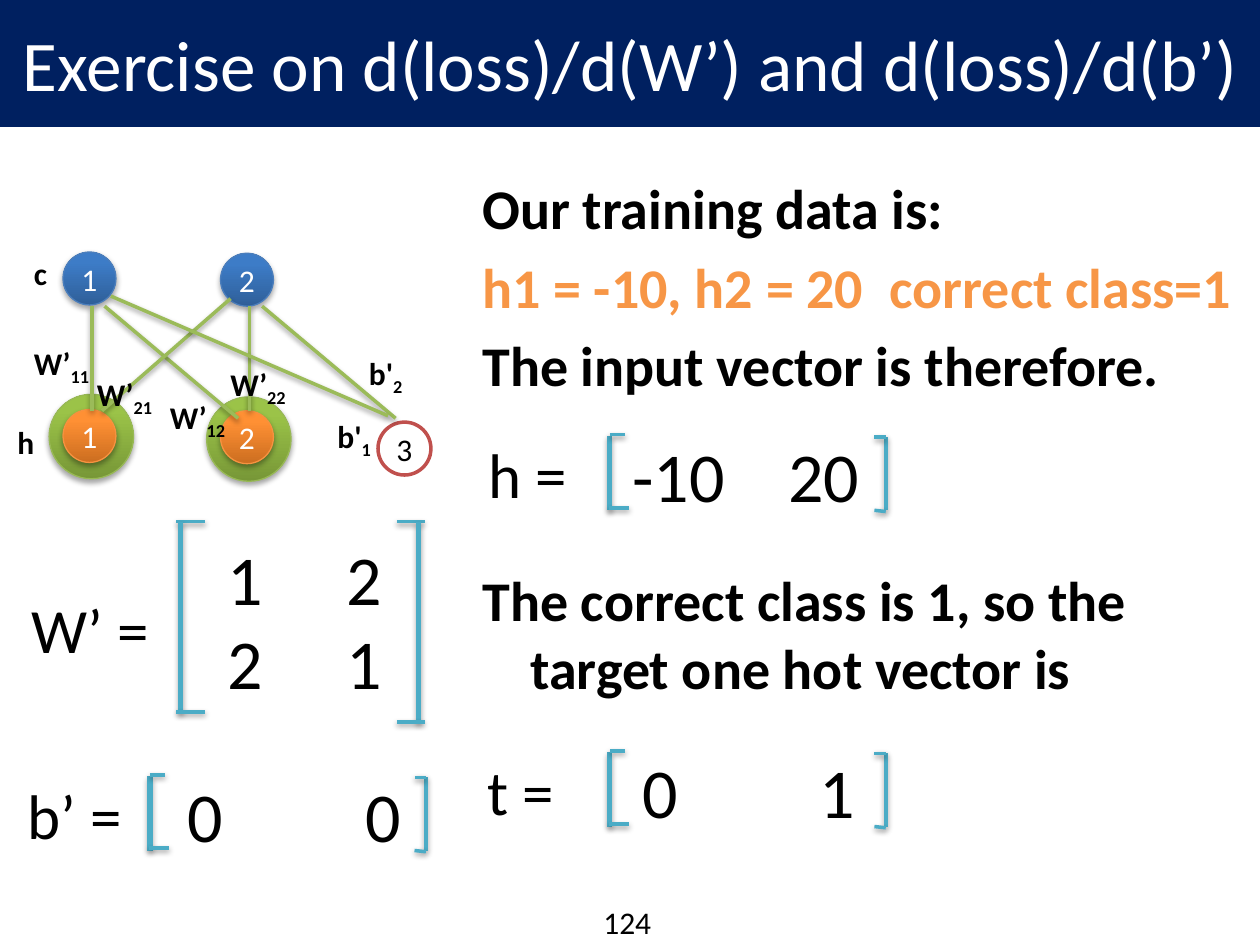
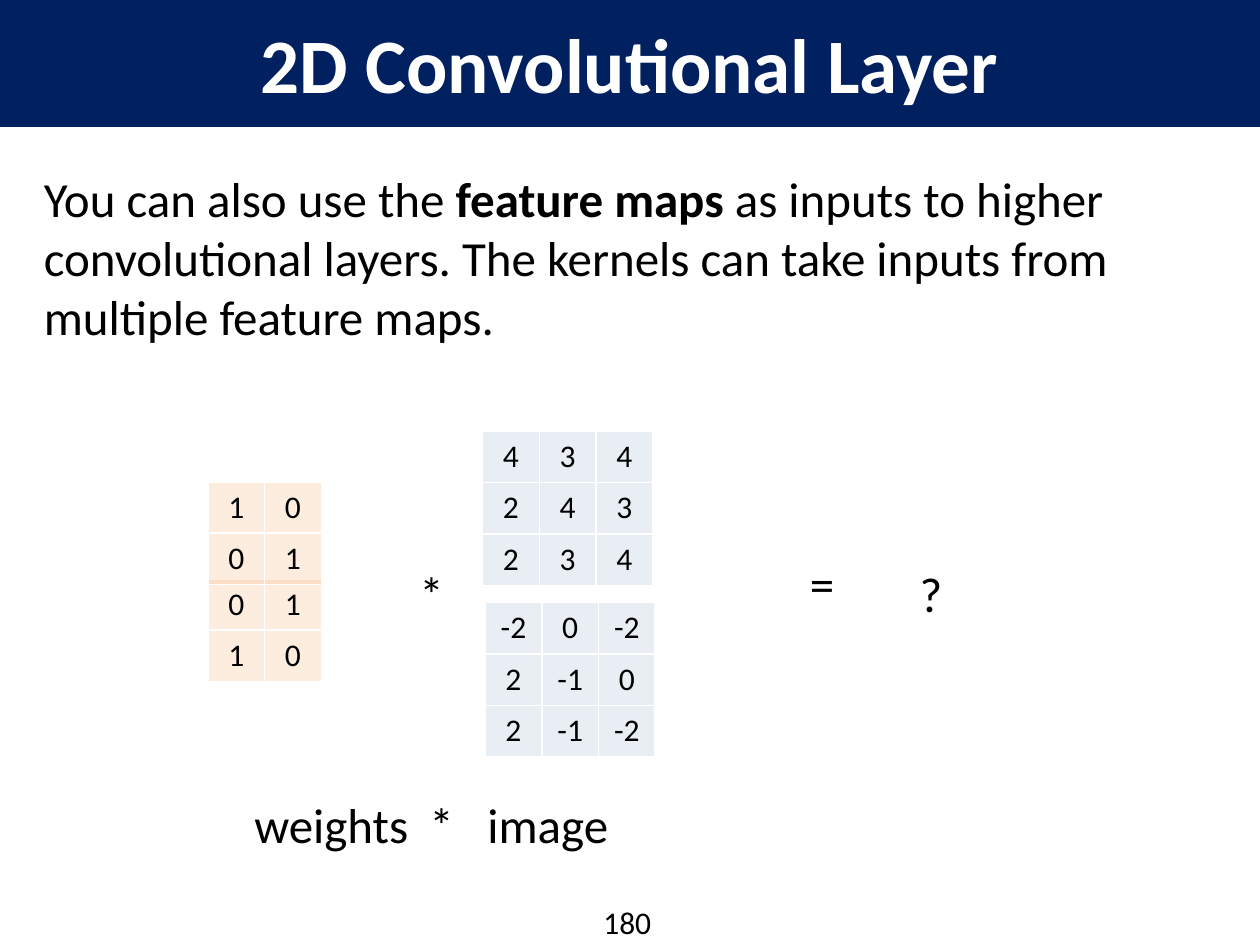
from dataclasses import dataclass
from itertools import product
from typing import Any, NamedTuple

from lxml import etree
from pptx import Presentation, oxml, util as u
from pptx.dml.color import RGBColor
from pptx.enum import shapes, text
from pptx.oxml import ns


@dataclass(frozen=True)
class Theme:
    font: str = "Calibri"
    navy: str = "002060"
    white: str = "FFFFFF"
    black: str = "000000"
    orange: str = "F79646"
    green: str = "9BBB59"
    teal: str = "4BACC6"
    red: str = "C0504D"
    pale: str = "E9EDF4"
    small: float = 18
    text: float = 28
    lead: float = 32
    name: float = 36
    value: float = 40
    long: float = 40.7
    title: float = 44


THEME = Theme()


class Tint(NamedTuple):
    dark: str
    light: str
    edge: str


BLUE = Tint("2F5F99", "3D7CC7", "4B7EBC")
AMBER = Tint("CC6E20", "FF9034", "F69240")
LIME = Tint("779737", "9BC348", "98B955")


class Node(NamedTuple):
    x: float
    y: float
    size: float
    label: str = ""
    tint: Tint | None = None


class Stroke(NamedTuple):
    x1: float
    y1: float
    x2: float
    y2: float
    width: float = 2


class Label(NamedTuple):
    x: float
    y: float
    name: str
    index: str = ""


class Vector(NamedTuple):
    """A named row of two values between brackets; x and y are the bracket's top left."""
    x: float
    y: float
    name: str
    name_x: float
    values: str
    value_x: float
    tab: float


class Grid(NamedTuple):
    x: float
    y: float
    rows: list[list[int]]
    heights: list[float]
    color: str
    alpha: int = 100


NODES = [
    Node(1.64, 3.15, 0.67, tint=LIME), Node(0.39, 3.13, 0.67, tint=LIME),
    Node(0.5, 2, 0.42, "1", BLUE), Node(1.75, 2.01, 0.42, "2", BLUE),
    Node(0.5, 3.25, 0.42, "1", AMBER), Node(1.75, 3.26, 0.42, "2", AMBER),
    Node(3, 3.35, 0.42, "3"),
]
EDGES = [
    Stroke(0.73, 2.43, 0.73, 3.26), Stroke(1.98, 2.43, 1.98, 3.26),
    Stroke(2.08, 2.43, 3.14, 3.32), Stroke(0.83, 2.43, 1.89, 3.32),
    Stroke(1.83, 2.37, 0.81, 3.26), Stroke(0.88, 2.35, 3.08, 3.3),
]
LABELS = [
    Label(0.17, 2.68, "W’", "11"), Label(0.67, 2.93, "W’", "21"),
    Label(1.25, 3.11, "W’", "12"), Label(1.73, 2.85, "W’", "22"),
    Label(2.58, 3.26, "b'", "1"), Label(2.83, 2.76, "b'", "2"),
    Label(0.04, 3.31, "h"), Label(0.17, 1.97, "c"),
]
MATRIX = [
    Stroke(1.4, 4.14, 1.63, 4.14), Stroke(1.43, 4.14, 1.43, 5.65, 3),
    Stroke(1.4, 5.65, 1.63, 5.65), Stroke(3.15, 4.14, 3.37, 4.14),
    Stroke(3.32, 4.14, 3.32, 5.73, 3), Stroke(3.15, 5.73, 3.37, 5.73),
]
VECTORS = [
    Vector(4.84, 3.45, "h =", 3.78, "-10\t20", 4.92, 1.24),
    Vector(1.19, 6.15, "b’ =", 0.12, "0\t0", 1.39, 1.41),
    Vector(4.84, 5.96, "t =", 3.77, "0\t1", 5, 1.41),
]
KERNEL = dict(heights=[0.36, 0.41], color=THEME.orange, alpha=17)
MAP = dict(heights=[0.41] * 3, color=THEME.pale)
GRIDS = [
    Grid(1.65, 4.6, [[0, 1], [1, 0]], **KERNEL),
    Grid(3.85, 4.78, [[-2, 0, -2], [2, -1, 0], [2, -1, -2]], **MAP),
    Grid(1.65, 3.83, [[1, 0], [0, 1]], **KERNEL),
    Grid(3.83, 3.42, [[4, 3, 4], [2, 4, 3], [2, 3, 4]], **MAP),
]


def rgb(color: str) -> RGBColor:
    return RGBColor.from_string(color)


def write(para: Any, words: str, size: float = THEME.small, color: str = THEME.black,
          bold: bool = False, sub: bool = False, tab: float = 0, hang: float = 0,
          before: float = 0, center: bool = False) -> None:
    """Add a run to a paragraph, with the paragraph's own format."""
    props = para._p.get_or_add_pPr()
    if hang:
        props.set("marL", str(u.Inches(hang)))
        props.set("indent", str(-u.Inches(hang)))
    if tab:
        stops = etree.SubElement(props, ns.qn("a:tabLst"))
        etree.SubElement(stops, ns.qn("a:tab"), pos=str(u.Inches(tab)), algn="l")
    if before:
        para.space_before = u.Pt(before)
    if center:
        para.alignment = text.PP_ALIGN.CENTER
    run = para.add_run()
    run.text = words
    font = run.font
    font.name, font.size, font.bold = THEME.font, u.Pt(size), bold
    font.color.rgb = rgb(color)
    if sub:
        run._r.get_or_add_rPr().set("baseline", "-25000")


def add_box(slide: Any, x: float, y: float, width: float, height: float) -> Any:
    frame = slide.shapes.add_textbox(*map(u.Inches, (x, y, width, height))).text_frame
    frame.word_wrap = True
    return frame


def put(slide: Any, x: float, y: float, width: float, height: float, words: str,
        **style: Any) -> None:
    """Place one line of text in its own box."""
    write(add_box(slide, x, y, width, height).paragraphs[0], words, **style)


def shade(shape: Any, alpha: int, shift: int) -> None:
    """Give a shape a soft shadow below it."""
    props = shape._element.spPr
    for old in props.findall(ns.qn("a:effectLst")):
        props.remove(old)
    props.append(oxml.parse_xml(
        f'<a:effectLst {ns.nsdecls("a")}><a:outerShdw blurRad="40000" dist="{shift}" '
        f'dir="5400000" rotWithShape="0"><a:srgbClr val="{THEME.black}">'
        f'<a:alpha val="{alpha * 1000}"/></a:srgbClr></a:outerShdw></a:effectLst>'))


def draw_line(slide: Any, stroke: Stroke, color: str) -> None:
    ends = map(u.Inches, stroke[:4])
    line = slide.shapes.add_connector(shapes.MSO_CONNECTOR.STRAIGHT, *ends)
    line.line.color.rgb = rgb(color)
    line.line.width = u.Pt(stroke.width)
    if stroke.width > 2:
        shade(line, 35, 23000)
    else:
        shade(line, 38, 20000)


def draw_node(slide: Any, node: Node) -> None:
    """Draw a circle; one without a tint is hollow."""
    place = map(u.Inches, (node.x, node.y, node.size, node.size))
    disc = slide.shapes.add_shape(shapes.MSO_SHAPE.OVAL, *place)
    disc.shadow.inherit = False
    if node.tint:
        disc.fill.gradient()
        disc.fill.gradient_angle = 90
        first, last = disc.fill.gradient_stops
        first.color.rgb, last.color.rgb = rgb(node.tint.dark), rgb(node.tint.light)
        first.position, last.position = 0, 0.8
        shade(disc, 35, 23000)
    else:
        disc.fill.solid()
        disc.fill.fore_color.rgb = rgb(THEME.white)
    disc.line.color.rgb = rgb(node.tint.edge if node.tint else THEME.red)
    disc.line.width = u.Pt(0.75 if node.tint else 2)
    if node.label:
        frame = disc.text_frame
        frame.margin_left = frame.margin_right = frame.margin_top = frame.margin_bottom = 0
        frame.word_wrap = False
        frame.vertical_anchor = text.MSO_ANCHOR.MIDDLE
        write(frame.paragraphs[0], node.label, center=True,
              color=THEME.white if node.tint else THEME.black)


def draw_vector(slide: Any, row: Vector) -> None:
    x, y, right = row.x, row.y, row.x + 2.19
    strokes = [
        Stroke(x, y + 0.01, x, y + 0.6, 3),
        Stroke(x, y, x + 0.12, y),
        Stroke(x - 0.01, y + 0.58, x + 0.15, y + 0.58),
        Stroke(right, y + 0.02, right, y + 0.6),
        Stroke(right, y + 0.61, right - 0.09, y + 0.6),
        Stroke(right, y + 0.02, right - 0.09, y + 0.02),
    ]
    for stroke in strokes:
        draw_line(slide, stroke, THEME.teal)
    put(slide, row.value_x, y - 0.07, 2.1, 0.77, row.values, size=THEME.value, tab=row.tab)
    put(slide, row.name_x, y - 0.04, 1.1, 0.71, row.name, size=THEME.name)


def draw_grid(slide: Any, grid: Grid) -> None:
    rows, cols = len(grid.rows), len(grid.rows[0])
    place = map(u.Inches, (grid.x, grid.y, 0.45 * cols, sum(grid.heights)))
    table = slide.shapes.add_table(rows, cols, *place).table
    table.first_row = table.horz_banding = False
    for row, height in zip(table.rows, grid.heights):
        row.height = u.Inches(height)
    for r, c in product(range(rows), range(cols)):
        cell = table.cell(r, c)
        cell.fill.solid()
        cell.fill.fore_color.rgb = rgb(grid.color)
        props = cell._tc.get_or_add_tcPr()
        if grid.alpha < 100:
            tone = props.find(".//" + ns.qn("a:srgbClr"))
            etree.SubElement(tone, ns.qn("a:alpha"), val=str(grid.alpha * 1000))
        for i, side in enumerate("LRTB"):
            props.insert(i, oxml.parse_xml(
                f'<a:ln{side} {ns.nsdecls("a")} w="12700"><a:solidFill>'
                f'<a:srgbClr val="{THEME.white}"/></a:solidFill></a:ln{side}>'))
        write(cell.text_frame.paragraphs[0], str(grid.rows[r][c]), center=True)


def add_slide(deck: Any, title: str, page: str, **style: Any) -> Any:
    """Add a slide with its title band and page number."""
    slide = deck.slides.add_slide(deck.slide_layouts[5])
    band = slide.shapes.title
    band.left, band.top, band.width, band.height = map(u.Inches, (0, 0, 10, 1))
    band.fill.solid()
    band.fill.fore_color.rgb = band.line.color.rgb = rgb(THEME.navy)
    band.line.width = u.Pt(0.75)
    frame = band.text_frame
    frame.margin_left = frame.margin_right = u.Inches(0.05)
    frame.vertical_anchor = text.MSO_ANCHOR.MIDDLE
    write(frame.paragraphs[0], title, color=THEME.white, center=True, **style)
    put(slide, 4.69, 7.12, 0.83, 0.4, page)
    return slide


def add_loss(deck: Any) -> None:
    slide = add_slide(deck, "Exercise on d(loss)/d(W’) and d(loss)/d(b’)", "124",
                      size=THEME.long)
    body = add_box(slide, 3.73, 1.33, 6.22, 5.92)
    lines = [
        ("Our training data is:", {}),
        ("h1 = -10, h2 = 20\tcorrect class=1",
         dict(color=THEME.orange, tab=3.23, before=6.4)),
        ("The input vector is therefore.", dict(before=6.4)),
        ("The correct class is 1, so the target one hot vector is",
         dict(before=96, hang=0.38)),
    ]
    for i, (words, style) in enumerate(lines):
        para = body.add_paragraph() if i else body.paragraphs[0]
        write(para, words, size=THEME.lead, bold=True, **style)
    for node in NODES:
        draw_node(slide, node)
    for edge in EDGES:
        draw_line(slide, edge, THEME.green)
    for label in LABELS:
        para = add_box(slide, label.x, label.y, 0.9, 0.4).paragraphs[0]
        write(para, label.name, bold=True)
        if label.index:
            write(para, label.index, bold=True, sub=True)
    for stroke in MATRIX:
        draw_line(slide, stroke, THEME.teal)
    cells = add_box(slide, 1.71, 4.2, 1.5, 1.45)
    write(cells.paragraphs[0], "1\t2", size=THEME.value, tab=0.94)
    write(cells.add_paragraph(), "2\t1", size=THEME.value, tab=0.94)
    put(slide, 0.15, 4.64, 1.3, 0.71, "W’ =", size=THEME.name)
    for row in VECTORS:
        draw_vector(slide, row)


def add_layer(deck: Any) -> None:
    slide = add_slide(deck, "2D Convolutional Layer", "180", size=THEME.title, bold=True)
    para = add_box(slide, 0.25, 1.29, 9.5, 1.99).paragraphs[0]
    write(para, "You can also use the ", size=THEME.text)
    write(para, "feature maps", size=THEME.text, bold=True)
    write(para, " as inputs to higher convolutional layers. The kernels can take "
          "inputs from multiple feature maps.", size=THEME.text)
    for grid in GRIDS:
        draw_grid(slide, grid)
    put(slide, 1.92, 6.26, 1.86, 0.57, "weights\t*", size=THEME.text, tab=1.39)
    for x, y, words in [(3.77, 6.26, "image"), (6.33, 4.34, "="),
                        (3.23, 4.42, "*"), (7.2, 4.42, "?")]:
        put(slide, x, y, 1.5, 0.57, words, size=THEME.text)


def main() -> None:
    deck = Presentation()
    deck.slide_width, deck.slide_height = u.Inches(10), u.Inches(7.5)
    add_loss(deck)
    add_layer(deck)
    deck.save("out.pptx")


if __name__ == "__main__":
    main()
